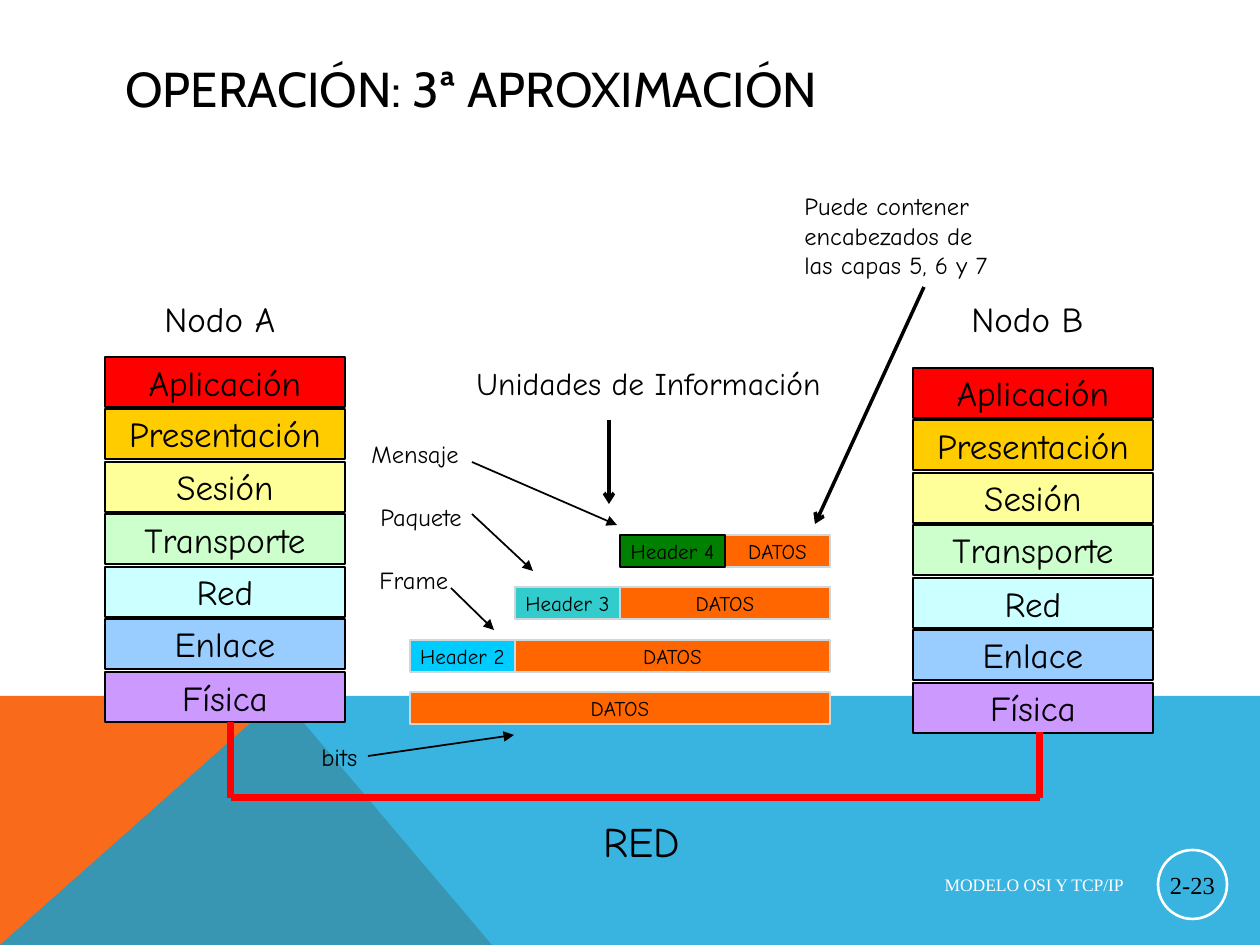
import pptx
import pptx.util
import pptx.dml.color
import pptx.enum.shapes
import pptx.enum.text
import pptx.oxml.ns
import lxml.etree

RGB = pptx.dml.color.RGBColor
SHAPE = pptx.enum.shapes.MSO_SHAPE
ALIGN = pptx.enum.text.PP_ALIGN
ANCHOR = pptx.enum.text.MSO_ANCHOR

BLACK = RGB(0x00, 0x00, 0x00)
WHITE = RGB(0xFF, 0xFF, 0xFF)
RED = RGB(0xFF, 0x00, 0x00)
ORANGE = RGB(0xF9, 0x6A, 0x1B)
BLUE = RGB(0x08, 0xA1, 0xD9)
DATA = RGB(0xFF, 0x66, 0x00)
GREY = RGB(0xCD, 0xD7, 0xD9)

COMIC, CABIN, TIMES = "Comic Neue", "Cabin", "Times New Roman"
SCALE = 914400 / 126  # EMU per px

LAYERS = [
    ("Aplicación", RED),
    ("Presentación", RGB(0xFF, 0xCC, 0x00)),
    ("Sesión", RGB(0xFF, 0xFF, 0x99)),
    ("Transporte", RGB(0xCC, 0xFF, 0xCC)),
    ("Red", RGB(0xCC, 0xFF, 0xFF)),
    ("Enlace", RGB(0x99, 0xCC, 0xFF)),
    ("Física", RGB(0xCC, 0x99, 0xFF)),
]
STACKS = [(105, 357), (913, 368)]

# Header text, fill and line of each unit; bits have no header
UNITS = [
    ("Header 4", RGB(0x00, 0x80, 0x00), BLACK),
    ("Header 3", RGB(0x33, 0xCC, 0xCC), GREY),
    ("Header 2", RGB(0x00, 0xCC, 0xFF), GREY),
    None,
]
UNIT_TOP, DATA_LEFT, DATA_RIGHT, HEAD_WIDE, UNIT_HIGH = 535, 725, 830, 105, 32

# Lines of text, box (left, top, width, height), size
LABELS = [
    (["RED"], (591, 809, 106, 63), 24),
    (["Nodo A"], (152, 291, 142, 55), 20),
    (["Nodo B"], (959, 291, 142, 55), 20),
    (["Unidades de Información"], (464, 358, 376, 50), 18),
    (["Puede contener", "encabezados de", "las capas 5, 6 y 7"],
     (792, 185, 216, 101), 14),
    (["Mensaje"], (359, 433, 124, 43), 14),
    (["Paquete"], (368, 496, 124, 43), 14),
    (["Frame"], (367, 559, 106, 43), 14),
    (["bits"], (309, 736, 76, 43), 14),
]

# From x, y to x, y
CABLE = [(1040, 732, 1040, 798), (231, 798, 1040, 798), (231, 722, 231, 798)]
POINTERS = [
    (472, 462, 617, 525),
    (472, 514, 533, 571),
    (451, 588, 494, 630),
    (368, 756, 514, 735),
]
BOLD_POINTERS = [(609, 420, 609, 504), (924, 287, 815, 524)]


def emu(*lengths):
    return [round(n * SCALE) for n in lengths]


def write(shape, lines, size, face=COMIC, color=BLACK, align=ALIGN.LEFT,
          anchor=ANCHOR.TOP, wrap=False):
    frame = shape.text_frame
    frame.word_wrap = wrap
    frame.vertical_anchor = anchor
    for i, line in enumerate(lines):
        para = frame.add_paragraph() if i else frame.paragraphs[0]
        para.alignment = align
        run = para.add_run()
        run.text = line
        run.font.size = pptx.util.Pt(size)
        run.font.name = face
        run.font.color.rgb = color


def add_label(slide, lines, box, size, **style):
    write(slide.shapes.add_textbox(*emu(*box)), lines, size, **style)


def add_block(slide, text, box, fill, edge, size):
    block = slide.shapes.add_shape(SHAPE.RECTANGLE, *emu(*box))
    block.shadow.inherit = False
    block.fill.solid()
    block.fill.fore_color.rgb = fill
    block.line.color.rgb = edge
    block.line.width = pptx.util.Pt(1)
    write(block, [text], size, align=ALIGN.CENTER, anchor=ANCHOR.MIDDLE)


def add_line(slide, ends, color, width, tip=None):
    line = slide.shapes.add_connector(
        pptx.enum.shapes.MSO_CONNECTOR.STRAIGHT, *emu(*ends))
    line.line.color.rgb = color
    line.line.width = pptx.util.Pt(width)
    if tip:
        tail = lxml.etree.SubElement(
            line.line._get_or_add_ln(), pptx.oxml.ns.qn("a:tailEnd"))
        tail.set("type", tip)
    lxml.etree.SubElement(line._element.spPr, pptx.oxml.ns.qn("a:effectLst"))


def add_band(slide, points, color, alpha=None):
    """Draw a borderless polygon; alpha is its opacity in percent."""
    pen = slide.shapes.build_freeform(*points[0], scale=SCALE)
    pen.add_line_segments(points[1:], close=True)
    band = pen.convert_to_shape()
    band.shadow.inherit = False
    band.fill.solid()
    band.fill.fore_color.rgb = color
    band.line.fill.background()
    if alpha:
        tone = band._element.spPr.find(".//" + pptx.oxml.ns.qn("a:srgbClr"))
        node = lxml.etree.SubElement(tone, pptx.oxml.ns.qn("a:alpha"))
        node.set("val", str(alpha * 1000))


def add_page(slide):
    badge = slide.shapes.add_shape(SHAPE.OVAL, *emu(1158, 850, 69, 69))
    badge.shadow.inherit = False
    badge.fill.background()
    badge.line.color.rgb = WHITE
    badge.line.width = pptx.util.Pt(1.5)
    frame = badge.text_frame
    frame.margin_left = frame.margin_right = emu(1)[0]
    frame.margin_top = frame.margin_bottom = emu(1)[0]
    write(badge, ["2-23"], 14, face=TIMES, align=ALIGN.CENTER,
          anchor=ANCHOR.MIDDLE, wrap=True)


def main():
    deck = pptx.Presentation()
    deck.slide_width, deck.slide_height = emu(1260, 945)
    slide = deck.slides.add_slide(deck.slide_layouts[6])

    add_band(slide, [(0, 945), (0, 696), (281, 696), (492, 945)], ORANGE)
    add_band(slide, [(0, 945), (281, 696), (1260, 696), (1260, 945)], BLUE, 80)
    add_label(slide, ["OPERACIÓN: 3ª APROXIMACIÓN"], (113, 50, 1037, 76), 28,
              face=CABIN, anchor=ANCHOR.MIDDLE, wrap=True)
    add_label(slide, ["MODELO OSI Y TCP/IP"], (485, 866, 651, 38), 10,
              face=TIMES, color=WHITE, align=ALIGN.RIGHT,
              anchor=ANCHOR.MIDDLE, wrap=True)
    add_page(slide)

    for left, top in STACKS:
        for i, (name, fill) in enumerate(LAYERS):
            box = (left, top + i * 105 // 2, 240, 50)
            add_block(slide, name, box, fill, BLACK, 20)

    for ends in CABLE:
        add_line(slide, ends, RED, 4)

    for i, head in enumerate(UNITS):
        top = UNIT_TOP + i * 105 // 2
        left = DATA_LEFT - i * HEAD_WIDE
        add_block(slide, "DATOS", (left, top, DATA_RIGHT - left, UNIT_HIGH),
                  DATA, GREY, 12)
        if head:
            text, fill, edge = head
            box = (left - HEAD_WIDE, top, HEAD_WIDE, UNIT_HIGH)
            add_block(slide, text, box, fill, edge, 12)

    for lines, box, size in LABELS:
        add_label(slide, lines, box, size)
    for ends in POINTERS:
        add_line(slide, ends, BLACK, 1, "triangle")
    for ends in BOLD_POINTERS:
        add_line(slide, ends, BLACK, 2, "arrow")

    deck.save("out.pptx")


if __name__ == "__main__":
    main()
